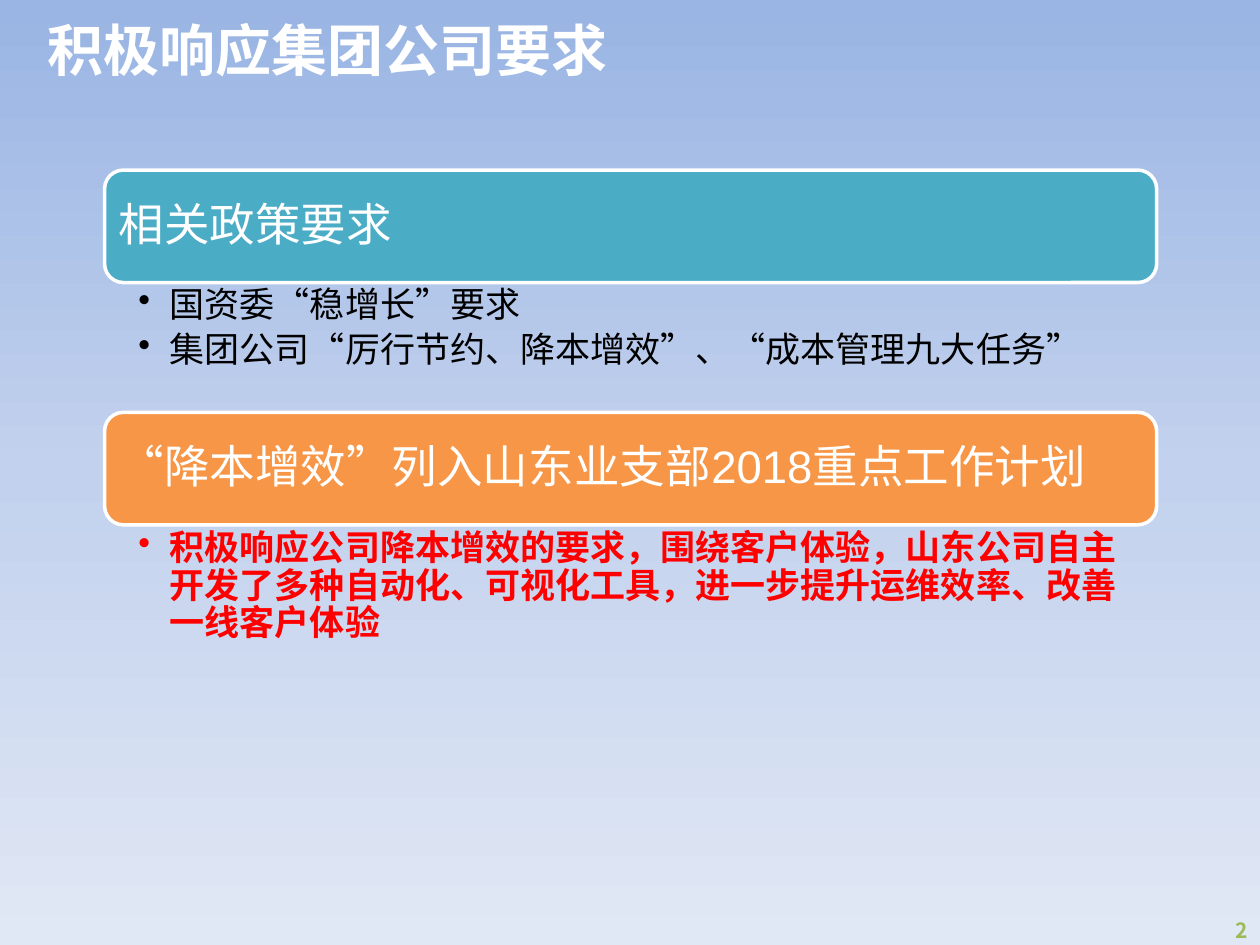
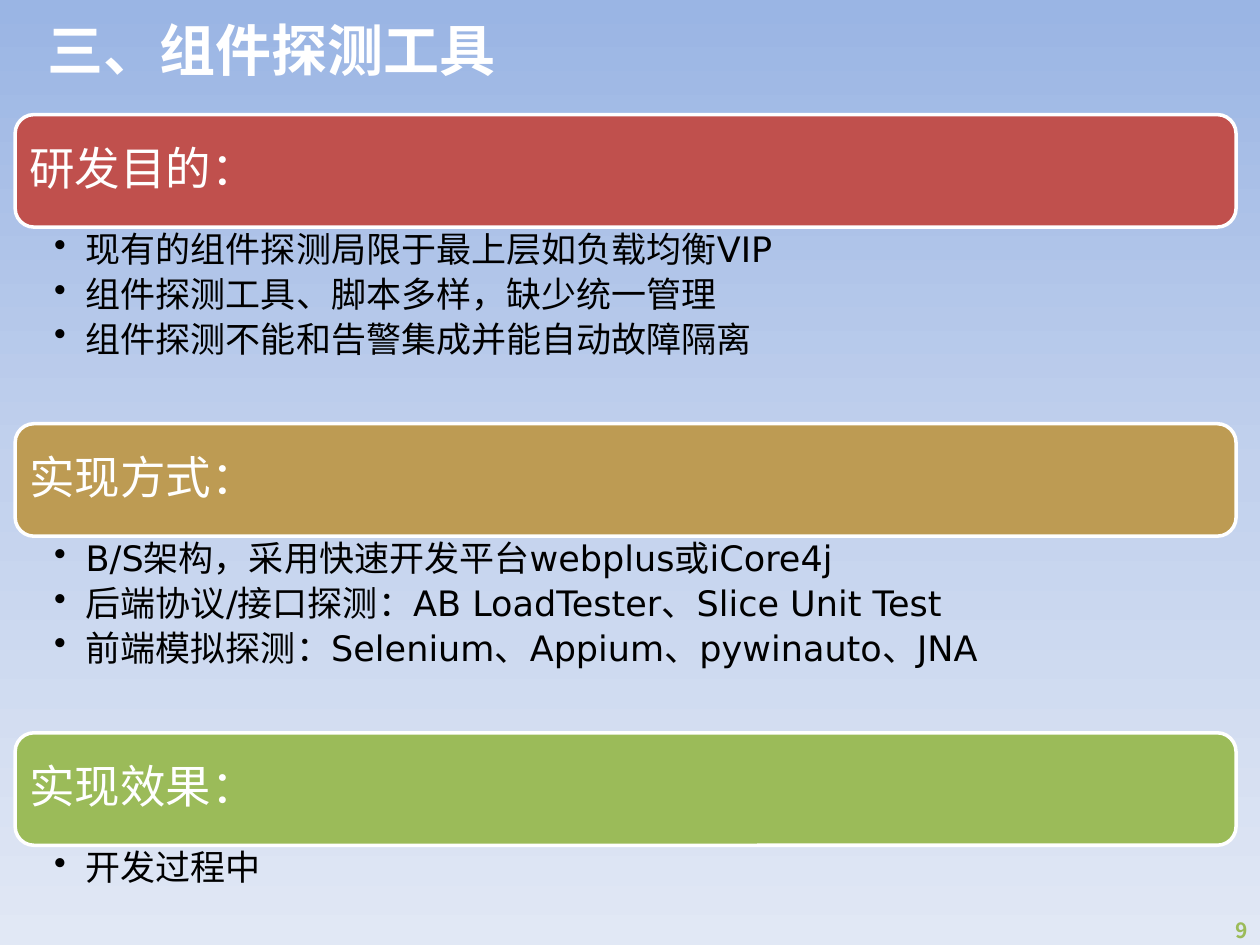
from copy import deepcopy
from dataclasses import dataclass

from lxml.etree import SubElement
from pptx import Presentation
from pptx.dml.color import RGBColor as Color
from pptx.enum.shapes import MSO_SHAPE as Preset
from pptx.enum.text import MSO_ANCHOR as Anchor, PP_ALIGN as Align
from pptx.oxml.ns import qn
from pptx.util import Inches, Pt


@dataclass(frozen=True)
class Theme:
    # Colours
    white: str = "FFFFFF"
    black: str = "000000"
    red: str = "FF0000"
    teal: str = "4BACC6"
    orange: str = "F79646"
    brick: str = "C0504D"
    ochre: str = "BD9B53"
    green: str = "9BBB59"
    backdrop: tuple = ((0, "9AB5E4"), (0.5, "C2D1ED"), (1, "E1E8F5"))
    # Type
    chinese_font: str = "Noto Sans CJK SC"
    title_size: int = 32
    heading_size: int = 26
    body_size: int = 20
    number_size: int = 12


THEME = Theme()
WIDTH, HEIGHT = Inches(10), Inches(7.5)
COLUMNS, ROWS = 100, 75
BAND_ROWS = 8.93
LIST_INDENT = Inches(0.25)


def set_all(target, values):
    for name, value in values.items():
        setattr(target, name, value)


class DeckBuilder:
    """Holds the theme and the slide being filled."""

    def __init__(self, theme):
        self.theme = theme
        self.slide = None
        self.presentation = Presentation()
        set_all(self.presentation, {"slide_width": WIDTH, "slide_height": HEIGHT})
        self.paint_backdrop()

    def paint_backdrop(self):
        master = self.presentation.slide_master
        fill = master.background.fill
        fill.gradient()
        fill.gradient_angle = 270
        # A new gradient has two stops; the third is a copy of the last
        stop_list = master.element.find(".//" + qn("a:gsLst"))
        stop_list.append(deepcopy(stop_list[-1]))
        for stop, (position, color) in zip(fill.gradient_stops, self.theme.backdrop):
            stop.position = position
            stop.color.rgb = Color.from_string(color)

    def place(self, column, row, columns, rows):
        """Turn grid cells into left, top, width and height."""
        return (int(WIDTH * column / COLUMNS), int(HEIGHT * row / ROWS),
                int(WIDTH * columns / COLUMNS), int(HEIGHT * rows / ROWS))

    def fill_text(self, shape, lines, font, size, color, bold=False,
                  frame_format=None, paragraph_format=None, bullets=False):
        frame = shape.text_frame
        set_all(frame, {"word_wrap": True, **(frame_format or {})})
        for index, line in enumerate(lines):
            paragraph = frame.add_paragraph() if index else frame.paragraphs[0]
            set_all(paragraph, paragraph_format or {})
            if bullets:
                self.add_bullet(paragraph)
            run = paragraph.add_run()
            run.text = line
            set_all(run.font, {"name": font, "size": Pt(size), "bold": bold})
            run.font.color.rgb = Color.from_string(color)
            properties = run._r.get_or_add_rPr()
            properties.set("lang", "zh-CN")
            SubElement(properties, qn("a:ea")).set("typeface", self.theme.chinese_font)

    def add_bullet(self, paragraph):
        properties = paragraph._p.get_or_add_pPr()
        properties.set("marL", str(LIST_INDENT))
        properties.set("indent", str(-LIST_INDENT))
        SubElement(properties, qn("a:buChar")).set("char", "•")

    def text_box(self, cells, lines, **text_format):
        box = self.slide.shapes.add_textbox(*self.place(*cells))
        self.fill_text(box, lines, **text_format)

    def start_slide(self, title, number):
        """Add a blank slide with its title and page number."""
        theme = self.theme
        self.slide = self.presentation.slides.add_slide(
            self.presentation.slide_layouts[6])
        self.text_box((95.7, 72.3, 4.3, 3), [str(number)], font=theme.chinese_font,
                      size=theme.number_size, color=theme.green, bold=True,
                      paragraph_format={"alignment": Align.RIGHT})
        self.text_box((2.8, 0.5, 90, 6.8), [title], font=theme.chinese_font,
                      size=theme.title_size, color=theme.white, bold=True,
                      frame_format={"vertical_anchor": Anchor.MIDDLE})

    def band(self, cells, heading, font, fill):
        shape = self.slide.shapes.add_shape(Preset.ROUNDED_RECTANGLE, *self.place(*cells))
        shape.shadow.inherit = False
        shape.fill.solid()
        shape.fill.fore_color.rgb = Color.from_string(fill)
        shape.line.color.rgb = Color.from_string(self.theme.white)
        shape.line.width = Pt(2)
        margin = Inches(0.07)
        self.fill_text(shape, [heading], font, self.theme.heading_size, self.theme.white,
                       frame_format={"vertical_anchor": Anchor.MIDDLE,
                                     "margin_left": margin, "margin_right": margin},
                       paragraph_format={"alignment": Align.LEFT, "line_spacing": 0.9,
                                         "space_after": Pt(9)})

    def bullet_list(self, cells, lines, font, color, bold):
        inset = int(WIDTH * cells[2] / COLUMNS * 0.032)
        self.text_box(cells, lines, font=font, size=self.theme.body_size,
                      color=color, bold=bold, bullets=True,
                      frame_format={"margin_left": inset, "margin_right": Inches(0.2),
                                    "margin_top": Inches(0.04),
                                    "margin_bottom": Inches(0.04)},
                      paragraph_format={"line_spacing": 0.9, "space_after": Pt(4)})

    def sections(self, column, row, columns, font, items):
        """Stack bands, each with its list directly below."""
        for heading, fill, list_rows, lines, color, bold in items:
            self.band((column, row, columns, BAND_ROWS), heading, font, fill)
            row += BAND_ROWS
            self.bullet_list((column, row, columns, list_rows), lines, font, color, bold)
            row += list_rows


def main():
    theme = THEME
    deck = DeckBuilder(theme)

    # Policy requirements
    deck.start_slide("积极响应集团公司要求", 2)
    deck.sections(8.3, 13.5, 83.5, "Arial", [
        ("相关政策要求", theme.teal, 10.3,
         ["国资委“稳增长”要求",
          "集团公司“厉行节约、降本增效”、“成本管理九大任务”"], theme.black, False),
        ("“降本增效”列入山东业支部2018重点工作计划", theme.orange, 13.8,
         ["积极响应公司降本增效的要求，围绕客户体验，山东公司自主开发了多种自动化、"
          "可视化工具，进一步提升运维效率、改善一线客户体验"], theme.red, True),
    ])

    # Component probing tool
    deck.start_slide("三、组件探测工具", 9)
    deck.sections(1.2, 9.1, 96.9, "DejaVu Sans", [
        ("研发目的：", theme.brick, 15.6,
         ["现有的组件探测局限于最上层如负载均衡VIP",
          "组件探测工具、脚本多样，缺少统一管理",
          "组件探测不能和告警集成并能自动故障隔离"], theme.black, False),
        ("实现方式：", theme.ochre, 15.6,
         ["B/S架构，采用快速开发平台webplus或iCore4j",
          "后端协议/接口探测：AB LoadTester、Slice Unit Test",
          "前端模拟探测：Selenium、Appium、pywinauto、JNA"], theme.black, False),
        ("实现效果：", theme.green, 5.2, ["开发过程中"], theme.black, False),
    ])

    deck.presentation.save("out.pptx")


if __name__ == "__main__":
    main()
